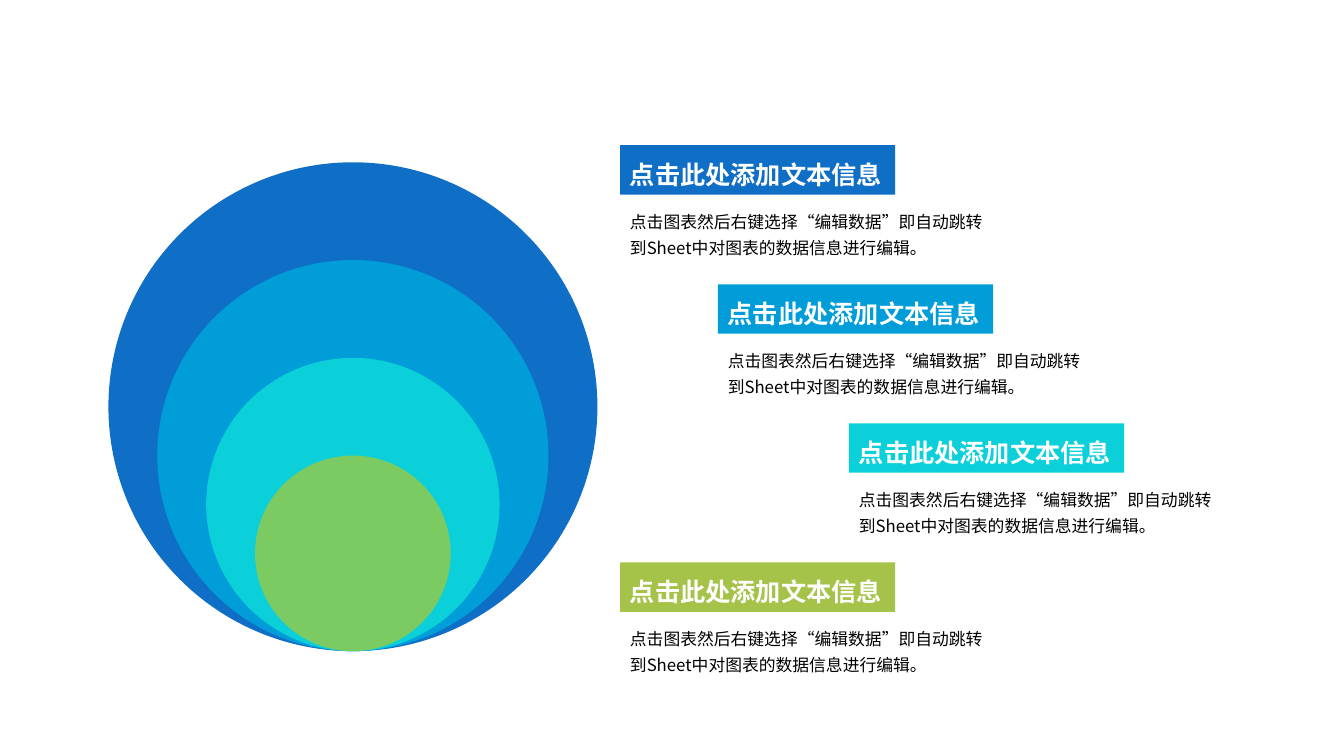
from lxml.etree import SubElement
from pptx import Presentation
from pptx.dml.color import RGBColor
from pptx.enum.shapes import MSO_SHAPE
from pptx.enum.text import MSO_ANCHOR, MSO_AUTO_SIZE, PP_ALIGN
from pptx.oxml.ns import qn
from pptx.util import Inches, Pt

HEADING = "点击此处添加文本信息"
DETAIL = "点击图表然后右键选择“编辑数据”即自动跳转到Sheet中对图表的数据信息进行编辑。"


def color(hex_value):
    return RGBColor.from_string(hex_value)


def write(tf, text, font, size, fill, bold=False, wrap=True):
    tf.word_wrap = wrap
    tf.auto_size = MSO_AUTO_SIZE.SHAPE_TO_FIT_TEXT
    tf.vertical_anchor = MSO_ANCHOR.TOP
    p = tf.paragraphs[0]
    p.alignment = PP_ALIGN.LEFT
    p.line_spacing = 1.3
    r = p.add_run()
    r.text = text
    r.font.size = Pt(size)
    r.font.bold = bold
    r.font.color.rgb = color(fill)
    r.font.name = font
    SubElement(r.font._element, qn("a:ea"), typeface=font)


class SlideBuilder:
    font = "Noto Sans CJK SC"
    dark = "000000"
    light = "FFFFFF"

    def __init__(self, s):
        self.s = s

    def shape(self, kind, left, top, width, height, fill):
        sp = self.s.shapes.add_shape(
            kind, Inches(left), Inches(top), Inches(width), Inches(height))
        sp.shadow.inherit = False
        sp.fill.solid()
        sp.fill.fore_color.rgb = color(fill)
        sp.line.fill.background()
        return sp

    def circle(self, center, bottom, diameter, fill):
        self.shape(MSO_SHAPE.OVAL, center - diameter / 2, bottom - diameter,
                   diameter, diameter, fill)

    def heading(self, left, top, text, fill):
        sp = self.shape(MSO_SHAPE.RECTANGLE, left, top, 2.73, 0.49, fill)
        write(sp.text_frame, text, self.font, 18, self.light,
              bold=True, wrap=False)

    def detail(self, left, top, text):
        sp = self.s.shapes.add_textbox(
            Inches(left), Inches(top), Inches(3.7), Inches(0.6))
        write(sp.text_frame, text, self.font, 12, self.dark)


def main():
    prs = Presentation()
    prs.slide_width = Inches(13.33)
    prs.slide_height = Inches(7.5)
    builder = SlideBuilder(prs.slides.add_slide(prs.slide_layouts[6]))

    for i, fill in enumerate(["0F6FC6", "009DD9", "0BD0D9", "7CCA62"]):
        builder.circle(3.5, 6.46, 0.97 * (5 - i), fill)

    entries = [(6.15, "0F6FC6"), (7.12, "009DD9"),
               (8.42, "0BD0D9"), (6.15, "A5C249")]
    for i, (left, fill) in enumerate(entries):
        top = 1.44 + 1.38 * i
        builder.detail(left, top + 0.55, DETAIL)
        builder.heading(left, top, HEADING, fill)

    prs.save("out.pptx")


if __name__ == "__main__":
    main()
